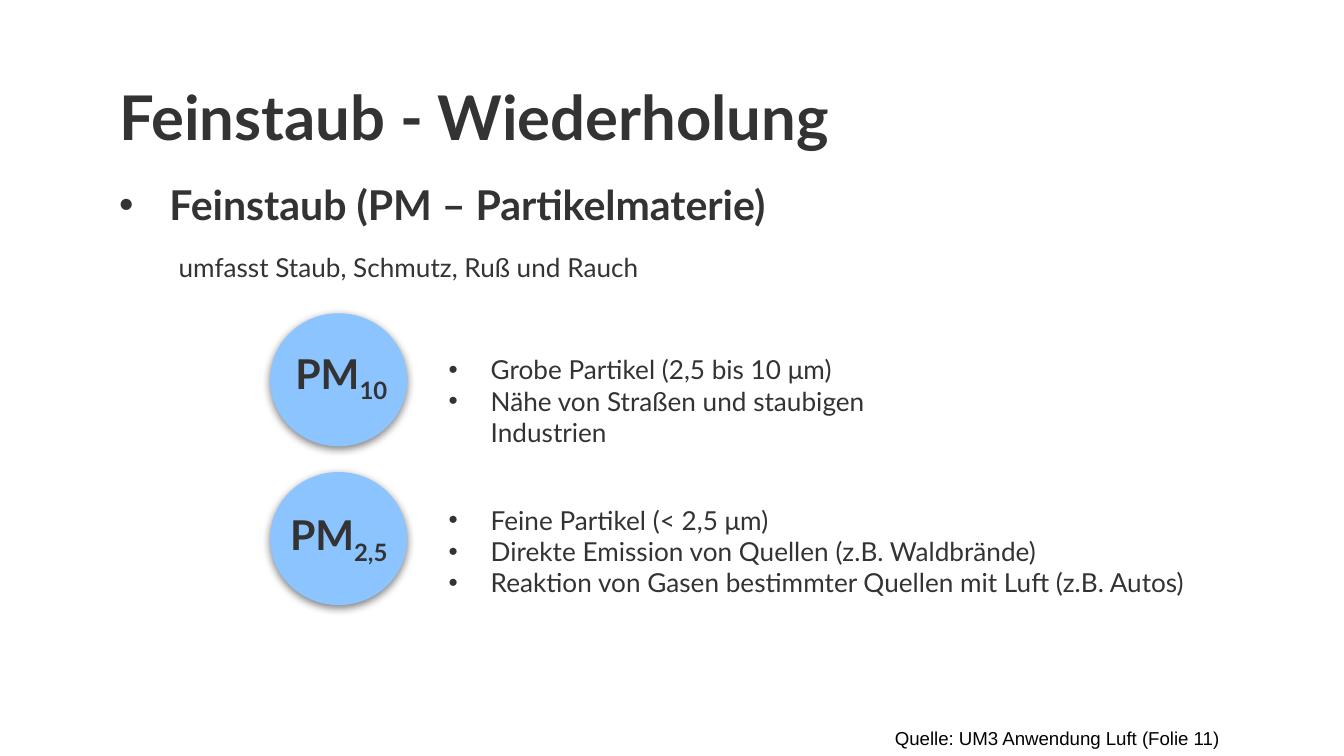
from lxml import etree
from pptx import Presentation
from pptx.dml.color import RGBColor
from pptx.enum.shapes import MSO_SHAPE
from pptx.enum.text import MSO_ANCHOR, MSO_AUTO_SIZE, PP_ALIGN
from pptx.oxml.ns import qn
from pptx.util import Pt

OVAL = MSO_SHAPE.OVAL
TOP, BOTTOM = MSO_ANCHOR.TOP, MSO_ANCHOR.BOTTOM
LEFT = PP_ALIGN.LEFT
NO_FIT = MSO_AUTO_SIZE.NONE
INK, SKY, BLACK = "333333", "8CC4FF", "000000"


def color(value):
    return RGBColor.from_string(value)


def add_node(parent, tag, **attributes):
    return etree.SubElement(parent, qn(tag), {name: str(value) for name, value in attributes.items()})


class SlideWriter:
    formats = {
        "title": {"name": "Lato", "size": Pt(33), "bold": True},
        "heading": {"name": "Lato", "size": Pt(22), "bold": True},
        "body": {"name": "Lato", "size": Pt(14), "bold": False},
        "source": {"name": "Arial", "size": Pt(10), "bold": False},
    }

    def __init__(self, page):
        self.page = page

    def style(self, font, kind, ink):
        for name, value in self.formats[kind].items():
            setattr(font, name, value)
        font.color.rgb = color(ink)

    def frame(self, box, anchor, inset):
        frame = box.text_frame
        settings = {
            "word_wrap": True, "auto_size": NO_FIT, "vertical_anchor": anchor,
            "margin_left": Pt(7.2), "margin_right": Pt(7.2),
            "margin_top": Pt(inset), "margin_bottom": Pt(inset),
        }
        for name, value in settings.items():
            setattr(frame, name, value)
        return frame

    def bullet(self, para, indent):
        properties = para._p.get_or_add_pPr()
        properties.set("marL", str(Pt(indent)))
        properties.set("indent", str(-Pt(indent)))
        add_node(add_node(properties, "a:buClr"), "a:srgbClr", val=INK)
        add_node(properties, "a:buFont", typeface="Arial")
        add_node(properties, "a:buChar", char="•")

    def title(self, text, place):
        box = self.page.shapes.title
        box.left, box.top, box.width, box.height = map(Pt, place)
        para = self.frame(box, TOP, 7.2).paragraphs[0]
        para.alignment = LEFT
        span = para.add_run()
        span.text = text
        self.style(span.font, "title", INK)

    def text(self, lines, place, kind="body", anchor=TOP, indent=0, ink=INK, inset=7.2):
        """Write paragraphs; a line is a string or a (base, subscript) pair."""
        box = self.page.shapes.add_textbox(*map(Pt, place))
        frame = self.frame(box, anchor, inset)
        for number, line in enumerate(lines):
            para = frame.add_paragraph() if number else frame.paragraphs[0]
            para.alignment = LEFT
            if indent:
                self.bullet(para, indent)
            pieces = (line,) if isinstance(line, str) else line
            for position, piece in enumerate(pieces):
                span = para.add_run()
                span.text = piece
                self.style(span.font, kind, ink)
                if position:
                    span._r.get_or_add_rPr().set("baseline", "-25000")

    def disc(self, place):
        """Draw a filled ellipse with a soft shadow below it."""
        disc = self.page.shapes.add_shape(OVAL, *map(Pt, place))
        disc.fill.solid()
        disc.fill.fore_color.rgb = color(SKY)
        disc.line.fill.background()
        disc.shadow.inherit = False
        effects = disc._element.spPr.find(qn("a:effectLst"))
        shadow = add_node(effects, "a:outerShdw", blurRad=Pt(4.5), dist=Pt(1.5),
                          dir=90 * 60000, algn="bl", rotWithShape=0)
        add_node(add_node(shadow, "a:srgbClr", val=BLACK), "a:alpha", val=50000)


def main():
    deck = Presentation()
    deck.slide_width, deck.slide_height = Pt(720), Pt(405)
    writer = SlideWriter(deck.slides.add_slide(deck.slide_layouts[5]))

    writer.title("Feinstaub - Wiederholung", (56.7, 35.3, 607, 45.4))
    writer.text(["Feinstaub (PM – Partikelmaterie)"], (56.7, 85.7, 430.6, 44),
                "heading", BOTTOM, indent=27)
    writer.text(["umfasst Staub, Schmutz, Ruß und Rauch"], (88.6, 127.4, 366.5, 30.2))

    # Disc top, label place, label subscript, list place, list lines
    classes = [
        (167.8, (151.2, 180, 67.7, 44), "10", (233.3, 182.2, 298, 80),
         ["Grobe Partikel (2,5 bis 10 μm)", "Nähe von Straßen und staubigen Industrien"]),
        (252.9, (148.3, 266.4, 73.4, 44), "2,5", (233.3, 262.8, 423.4, 80),
         ["Feine Partikel (< 2,5 μm)", "Direkte Emission von Quellen (z.B. Waldbrände)",
          "Reaktion von Gasen bestimmter Quellen mit Luft (z.B. Autos)"]),
    ]
    for disc_top, label_place, limit, list_place, lines in classes:
        writer.disc((144.7, disc_top, 73.4, 71.3))
        writer.text([("PM", limit)], label_place, "heading", BOTTOM)
        writer.text(lines, list_place, indent=22.5)

    writer.text(["Quelle: UM3 Anwendung Luft (Folie 11)"], (472.3, 385.9, 260.6, 19.4),
                "source", ink=BLACK, inset=3.6)
    deck.save("out.pptx")


if __name__ == "__main__":
    main()
